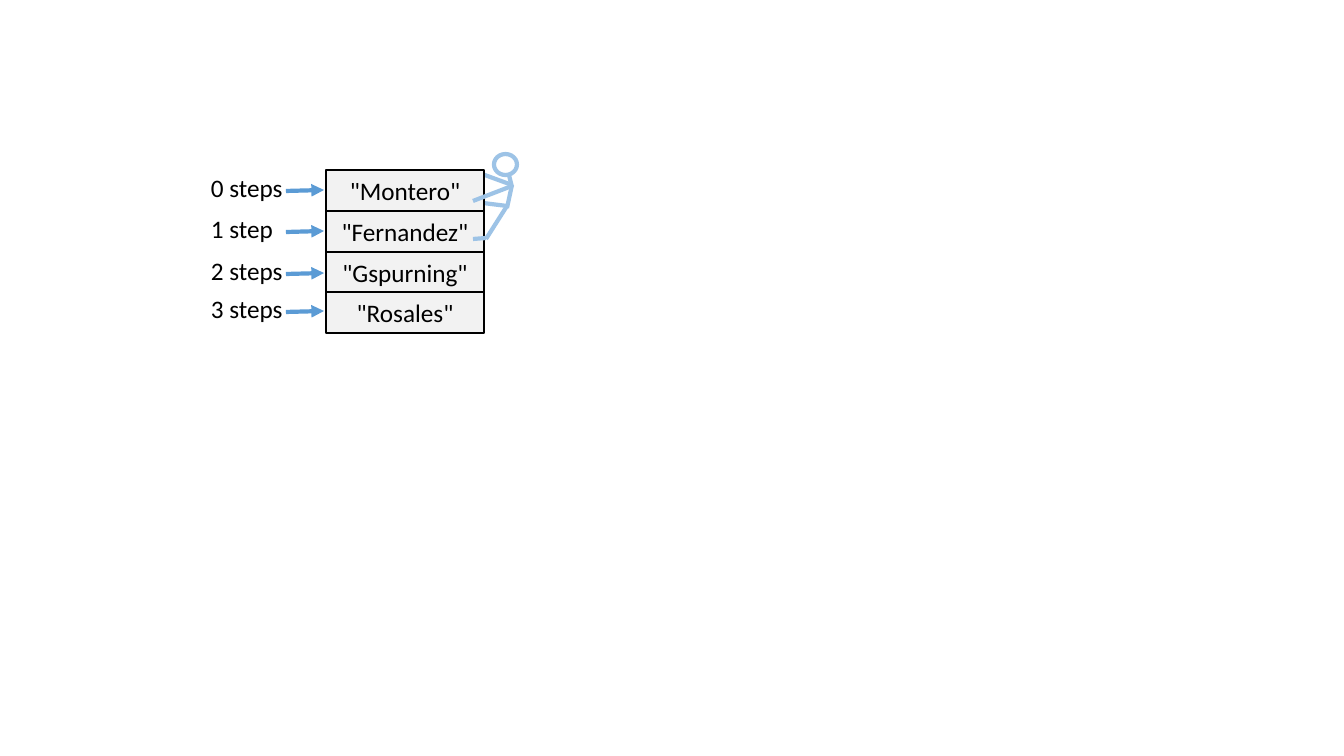
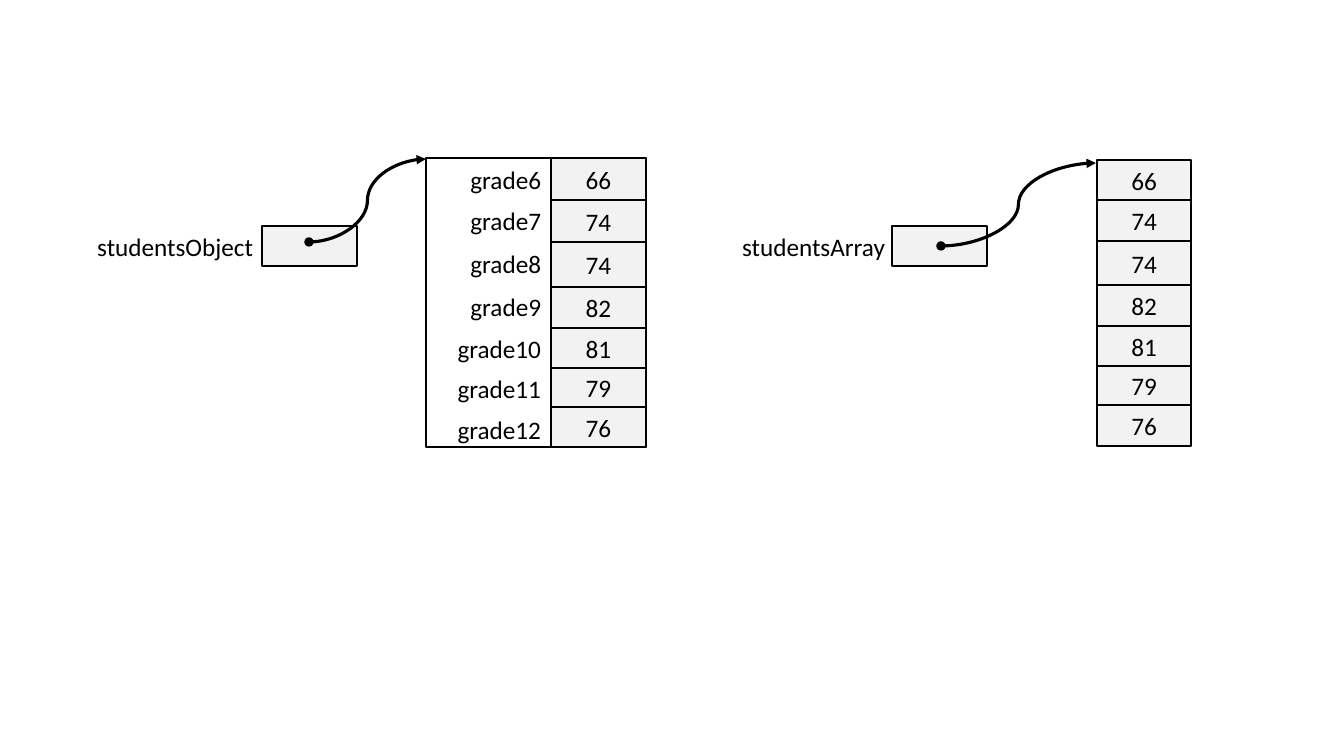
from lxml import etree
from pptx import Presentation
from pptx.dml.color import RGBColor
from pptx.enum.shapes import MSO_CONNECTOR, MSO_SHAPE
from pptx.enum.text import MSO_ANCHOR, MSO_AUTO_SIZE, PP_ALIGN
from pptx.oxml.ns import qn
from pptx.util import Pt

LEFT, CENTER, RIGHT = PP_ALIGN.LEFT, PP_ALIGN.CENTER, PP_ALIGN.RIGHT
RECTANGLE, OVAL = MSO_SHAPE.RECTANGLE, MSO_SHAPE.OVAL
STRAIGHT, CURVE = MSO_CONNECTOR.STRAIGHT, MSO_CONNECTOR.CURVE
MIDDLE = MSO_ANCHOR.MIDDLE
FIT_SHAPE = MSO_AUTO_SIZE.SHAPE_TO_FIT_TEXT

EMU_PER_PIXEL = 914400 / 100.8
FONT, TEXT_SIZE = "Calibri", 18
BLACK, GREY, BLUE, PALE_BLUE = "000000", "F2F2F2", "5B9BD5", "9DC3E6"
ROW_HEIGHT = 40


def emu(pixels):
    return round(pixels * EMU_PER_PIXEL)


def color(hex_string):
    return RGBColor.from_string(hex_string)


class Diagram:
    """Draws memory diagrams in one style on the current page."""

    def __init__(self, width, height):
        self.deck = Presentation()
        self.deck.slide_width, self.deck.slide_height = emu(width), emu(height)
        self.page = None

    def new_page(self):
        self.page = self.deck.slides.add_slide(self.deck.slide_layouts[6])

    def set_text(self, shape, text, align):
        frame = shape.text_frame
        frame.text = text
        frame.word_wrap = True
        para = frame.paragraphs[0]
        para.alignment = align
        for span in para.runs:
            span.font.name = FONT
            span.font.size = Pt(TEXT_SIZE)
            span.font.color.rgb = color(BLACK)

    def label(self, left, top, width, text, align=LEFT):
        box = self.page.shapes.add_textbox(*map(emu, (left, top, width, ROW_HEIGHT)))
        self.set_text(box, text, align)
        box.text_frame.auto_size = FIT_SHAPE

    def shape(self, left, top, width, height, text="", kind=RECTANGLE,
              fill=GREY, line=BLACK, weight=1):
        shape = self.page.shapes.add_shape(kind, *map(emu, (left, top, width, height)))
        shape.shadow.inherit = False
        if fill:
            shape.fill.solid()
            shape.fill.fore_color.rgb = color(fill)
        else:
            shape.fill.background()
        shape.line.color.rgb = color(line)
        shape.line.width = Pt(weight)
        if text:
            self.set_text(shape, text, CENTER)
            shape.text_frame.vertical_anchor = MIDDLE

    def cells(self, left, width, edges, texts):
        for top, bottom, text in zip(edges, edges[1:], texts):
            self.shape(left, top, width, bottom - top, text)

    def line(self, start, end, line=PALE_BLUE, weight=3, kind=STRAIGHT, head="", tail=""):
        connector = self.page.shapes.add_connector(kind, *map(emu, (*start, *end)))
        connector.line.color.rgb = color(line)
        connector.line.width = Pt(weight)
        properties = connector.element.spPr
        outline = properties.find(qn("a:ln"))
        for tag, ending in (("a:headEnd", head), ("a:tailEnd", tail)):
            if ending:
                etree.SubElement(outline, qn(tag), type=ending)
        etree.SubElement(properties, qn("a:effectLst"))

    def limbs(self, segments):
        for start, end in segments:
            self.line(start, end)

    def variable(self, name, label_left, box_left, start, end):
        self.label(label_left, 226, 200, name, RIGHT)
        self.shape(box_left, 226, 95, ROW_HEIGHT)
        self.line(start, end, BLACK, 2.25, CURVE, head="oval", tail="triangle")


def draw_steps(diagram):
    names = ['"Montero"', '"Fernandez"', '"Gspurning"', '"Rosales"']
    label_tops = [167, 208, 250, 288]
    diagram.new_page()
    diagram.limbs([((483, 203), (507, 206)), ((483, 229), (470, 231)),
                   ((512, 185), (482, 174))])
    diagram.cells(326, 158, [170, 211, 252, 292, 333], names)
    for count, top in enumerate(label_tops):
        diagram.line((286, top + 24), (324, top + 23), BLUE, tail="triangle")
        diagram.label(201, top, 104, f"{count} step" if count == 1 else f"{count} steps")
    diagram.limbs([((509, 175), (512, 187)), ((512, 186), (473, 201)),
                   ((486, 239), (507, 206)), ((486, 238), (473, 239)),
                   ((512, 185), (507, 208))])
    diagram.shape(494, 154, 23, 21, kind=OVAL, fill=None, line=PALE_BLUE, weight=3)


def draw_grades(diagram):
    values = ["66", "74", "74", "82", "81", "79", "76"]
    label_tops = [159, 200, 243, 286, 328, 368, 409]
    diagram.new_page()
    for grade, top in enumerate(label_tops, start=6):
        diagram.label(283, top, 268, f"grade{grade}", RIGHT)
    diagram.cells(551, 95, [158, 200, 242, 287, 328, 368, 407, 447], values)
    diagram.shape(426, 158, 220, 289, fill=None)
    diagram.cells(1097, 94, [160, 200, 241, 285, 326, 366, 405, 446], values)
    diagram.variable("studentsObject", 63, 262, (309, 242), (426, 159))
    diagram.variable("studentsArray", 695, 892, (941, 246), (1096, 163))


diagram = Diagram(1344, 756)
draw_steps(diagram)
draw_grades(diagram)
diagram.deck.save("out.pptx")
